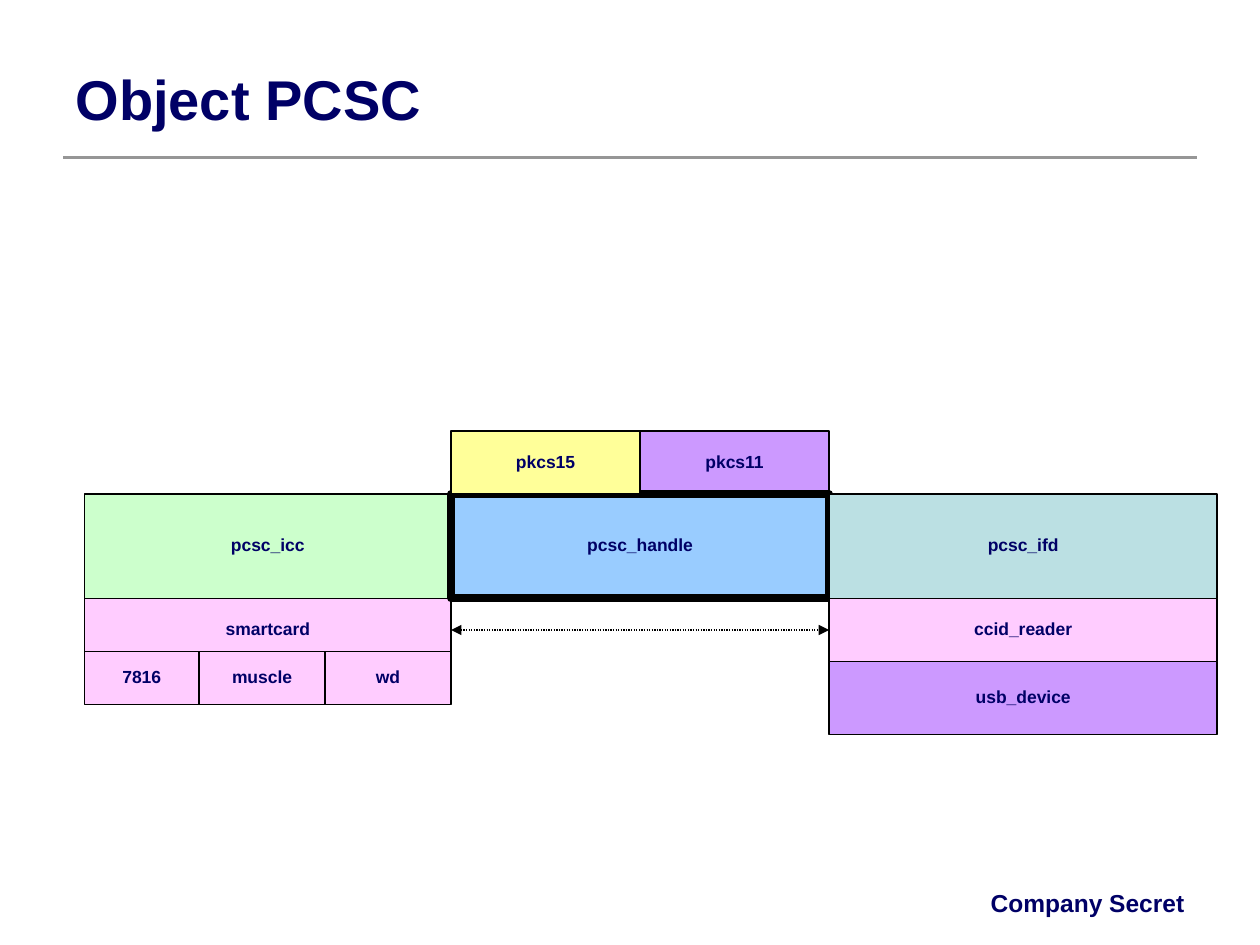
from lxml import etree
from pptx import Presentation
from pptx import util as u
from pptx.dml.color import RGBColor
from pptx.enum import dml, shapes, text
from pptx.oxml.ns import qn

Inches, Pt = u.Inches, u.Pt
NAVY = RGBColor(0x00, 0x00, 0x66)
BLACK = RGBColor(0x00, 0x00, 0x00)
GRAY = RGBColor(0x96, 0x96, 0x96)
PURPLE = RGBColor(0xCC, 0x99, 0xFF)
GREEN = RGBColor(0xCC, 0xFF, 0xCC)
PINK = RGBColor(0xFF, 0xCC, 0xFF)
BLUE = RGBColor(0x99, 0xCC, 0xFF)
YELLOW = RGBColor(0xFF, 0xFF, 0x99)
TEAL = RGBColor(0xBB, 0xE0, 0xE3)

# Shared geometry of the diagram, in inches
X_CARD, X_HANDLE, X_READER, X_END = 0.67, 3.58, 6.58, 9.66
Y_TOP, Y_MAIN, Y_LOWER = 3.42, 3.92, 4.75
MAIN_H = Y_LOWER - Y_MAIN


def write(sp, words, size=10, align=text.PP_ALIGN.CENTER,
          anchor=text.MSO_ANCHOR.MIDDLE, spacing=None):
    tf = sp.text_frame
    tf.word_wrap = True
    tf.auto_size = text.MSO_AUTO_SIZE.NONE
    tf.vertical_anchor = anchor
    p = tf.paragraphs[0]
    p.alignment = align
    p.line_spacing = spacing
    r = p.add_run()
    r.text = words
    r.font.name = "Arial"
    r.font.size = Pt(size)
    r.font.bold = True
    r.font.color.rgb = NAVY


def add_block(slide, words, x, y, w, h, fill, weight=0.75):
    sp = slide.shapes.add_shape(shapes.MSO_SHAPE.RECTANGLE,
                                Inches(x), Inches(y), Inches(w), Inches(h))
    sp.shadow.inherit = False
    sp.fill.solid()
    sp.fill.fore_color.rgb = fill
    sp.line.color.rgb = BLACK
    sp.line.width = Pt(weight)
    write(sp, words, spacing=0.9)


def add_line(slide, x1, x2, y, color, weight):
    line = slide.shapes.add_connector(shapes.MSO_CONNECTOR.STRAIGHT,
                                      Inches(x1), Inches(y), Inches(x2), Inches(y))
    line.line.color.rgb = color
    line.line.width = Pt(weight)
    etree.SubElement(line._element.spPr, qn("a:effectLst"))
    return line


def add_header(slide, x, y, w, h):
    title = slide.shapes.title
    title.left, title.top = Inches(x), Inches(y)
    title.width, title.height = Inches(w), Inches(h)
    write(title, "Object PCSC", size=32, align=text.PP_ALIGN.LEFT)
    add_line(slide, x, x + w, y + h, GRAY, 2.25)


def add_footer(slide, x, y, w, h):
    sp = slide.shapes.add_textbox(Inches(x), Inches(y), Inches(w), Inches(h))
    write(sp, "Company Secret", size=14, align=text.PP_ALIGN.RIGHT,
          anchor=text.MSO_ANCHOR.TOP)


def add_card_side(slide, x, y, w):
    add_block(slide, "pcsc_icc", x, y, w, MAIN_H, GREEN)
    add_block(slide, "smartcard", x, y + MAIN_H, w, 0.5, PINK)
    # Card types, each running to the start of the next
    edges = [x, x + w - 2, x + w - 1, x + w]
    for words, left, right in zip(("7816", "muscle", "wd"), edges, edges[1:]):
        add_block(slide, words, left, 5.17, right - left, 0.42, PINK)


def add_handle(slide, x, y, w):
    half, top_h = w / 2, Y_MAIN - y
    # The thick frame lies over pkcs11 and under pkcs15
    add_block(slide, "pkcs11", x + half, y, half, top_h, PURPLE)
    add_block(slide, "pcsc_handle", x, Y_MAIN, w, MAIN_H, BLUE, weight=4.5)
    add_block(slide, "pkcs15", x, y, half, top_h, YELLOW)


def add_reader_side(slide, x, y, w):
    for words, h, fill in (("pcsc_ifd", MAIN_H, TEAL),
                           ("ccid_reader", 0.5, PINK),
                           ("usb_device", 0.58, PURPLE)):
        add_block(slide, words, x, y, w, h, fill)
        y += h


def add_link(slide, x1, x2, y):
    link = add_line(slide, x1, x2, y, BLACK, 0.75)
    link.line.dash_style = dml.MSO_LINE.ROUND_DOT
    ln = link.line._get_or_add_ln()
    for end in ("a:headEnd", "a:tailEnd"):
        etree.SubElement(ln, qn(end), type="triangle")


def main():
    prs = Presentation()
    prs.slide_width, prs.slide_height = Inches(10), Inches(7.5)
    slide = prs.slides.add_slide(prs.slide_layouts[5])
    add_header(slide, 0.5, 0.3, 9, 0.95)
    add_footer(slide, 6.33, 7, 3.17, 0.33)
    add_card_side(slide, X_CARD, Y_MAIN, X_HANDLE - X_CARD)
    add_handle(slide, X_HANDLE, Y_TOP, X_READER - X_HANDLE)
    add_reader_side(slide, X_READER, Y_MAIN, X_END - X_READER)
    add_link(slide, X_HANDLE, X_READER, 5)
    prs.save("out.pptx")


if __name__ == "__main__":
    main()
